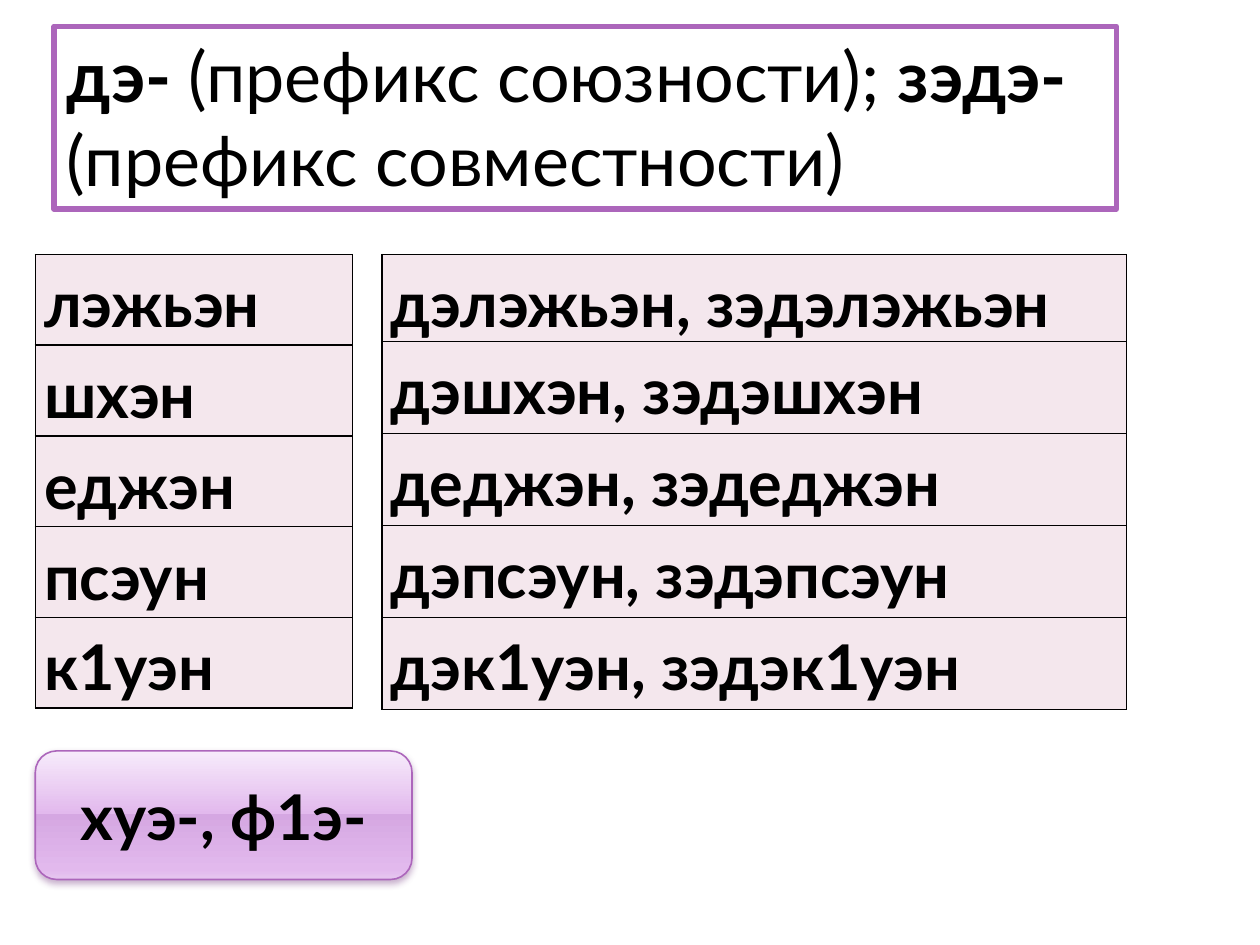
from dataclasses import dataclass

from lxml.etree import SubElement
from pptx import Presentation
from pptx.dml.color import RGBColor
from pptx.enum.shapes import MSO_SHAPE
from pptx.enum.text import MSO_ANCHOR, MSO_AUTO_SIZE, PP_ALIGN
from pptx.oxml import parse_xml
from pptx.oxml.ns import nsdecls, qn
from pptx.util import Emu, Pt

EMU_PER_PX = 9144  # 100 px to the inch


@dataclass(frozen=True)
class Theme:
    font: str = "Lato"
    text: str = "000000"
    paper: str = "FFFFFF"
    cell: str = "F4E7ED"
    accent: str = "AC66BB"
    shadow: str = "6E307B"
    gradient: tuple = ((0, "F7EBFB"), (49, "E2B9ED"), (49, "D5A7E2"),
                       (92, "E2B9ED"), (100, "E6C6EF"))
    title_size: int = 40
    body_size: int = 36


@dataclass(frozen=True)
class WordTable:
    left: int
    top: int
    width: int
    row_heights: tuple
    words: tuple


THEME = Theme()

TABLES = (
    WordTable(28, 202, 252, (72,) * 5,
              ("лэжьэн", "шхэн", "еджэн", "псэун", "к1уэн")),
    WordTable(303, 202, 591, (69,) + (73,) * 4,
              ("дэлэжьэн, зэдэлэжьэн", "дэшхэн, зэдэшхэн", "деджэн, зэдеджэн",
               "дэпсэун, зэдэпсэун", "дэк1уэн, зэдэк1уэн")),
)

TITLE_RUNS = (("дэ- ", True), ("(префикс союзности); ", False),
              ("зэдэ-", True), (" (префикс совместности)", False))


def px(value: int) -> Emu:
    return Emu(value * EMU_PER_PX)


def rgb(color: str) -> RGBColor:
    return RGBColor.from_string(color)


def add_text(p, text: str, *, size: int = THEME.body_size, bold: bool = True,
             align=PP_ALIGN.LEFT, spacing: float = 1.0) -> None:
    """Append one formatted run to a paragraph."""
    p.alignment = align
    p.line_spacing = spacing
    r = p.add_run()
    r.text = text
    r.font.name = THEME.font
    r.font.size = Pt(size)
    r.font.bold = bold
    r.font.color.rgb = rgb(THEME.text)


def set_line(sp, width: float) -> None:
    sp.line.color.rgb = rgb(THEME.accent)
    sp.line.width = Pt(width)


def set_borders(cell) -> None:
    tc_pr = cell._tc.get_or_add_tcPr()
    for side in ("lnL", "lnR", "lnT", "lnB"):
        ln = SubElement(tc_pr, qn(f"a:{side}"), w=str(Pt(1)))
        fill = SubElement(ln, qn("a:solidFill"))
        SubElement(fill, qn("a:srgbClr"), val=THEME.text)


def add_title(s) -> None:
    sp = s.shapes.title
    sp.left, sp.top, sp.width, sp.height = map(px, (43, 21, 843, 145))
    sp.fill.solid()
    sp.fill.fore_color.rgb = rgb(THEME.paper)
    set_line(sp, 3.15)
    tf = sp.text_frame
    tf.word_wrap = True
    tf.auto_size = MSO_AUTO_SIZE.NONE
    tf.vertical_anchor = MSO_ANCHOR.TOP
    for text, bold in TITLE_RUNS:
        add_text(tf.paragraphs[0], text, size=THEME.title_size, bold=bold)


def add_word_table(s, spec: WordTable) -> None:
    frame = s.shapes.add_table(len(spec.words), 1, px(spec.left), px(spec.top),
                               px(spec.width), px(sum(spec.row_heights)))
    table = frame.table
    table.first_row = table.horz_banding = False
    for row, height, word in zip(table.rows, spec.row_heights, spec.words):
        row.height = px(height)
        cell = row.cells[0]
        cell.margin_left = cell.margin_right = px(7)
        cell.margin_top = cell.margin_bottom = 0
        set_borders(cell)
        cell.fill.solid()
        cell.fill.fore_color.rgb = rgb(THEME.cell)
        add_text(cell.text_frame.paragraphs[0], word,
                 align=PP_ALIGN.JUSTIFY, spacing=1.15)


def set_glossy_fill(sp) -> None:
    """Give a shape the theme's gradient, running from top to bottom."""
    sp.fill.gradient()
    sp.fill.gradient_angle = 270
    stops = sp._element.spPr.find(qn("a:gradFill")).find(qn("a:gsLst"))
    for stop in list(stops):
        stops.remove(stop)
    for percent, color in THEME.gradient:
        stop = SubElement(stops, qn("a:gs"), pos=str(percent * 1000))
        SubElement(stop, qn("a:srgbClr"), val=color)


def set_soft_shadow(sp) -> None:
    sp._element.spPr.append(parse_xml(
        f'<a:effectLst {nsdecls("a")}>'
        f'<a:outerShdw blurRad="{Pt(4)}" dist="{Pt(2)}" dir="5400000" rotWithShape="0">'
        f'<a:srgbClr val="{THEME.shadow}"><a:alpha val="38000"/></a:srgbClr>'
        '</a:outerShdw></a:effectLst>'))


def add_prefix_button(s) -> None:
    sp = s.shapes.add_shape(MSO_SHAPE.ROUNDED_RECTANGLE,
                            *map(px, (28, 596, 299, 102)))
    set_glossy_fill(sp)
    set_line(sp, 0.9)
    set_soft_shadow(sp)
    tf = sp.text_frame
    tf.vertical_anchor = MSO_ANCHOR.MIDDLE
    add_text(tf.paragraphs[0], "хуэ-, ф1э-", align=PP_ALIGN.CENTER)


def main() -> None:
    prs = Presentation()
    prs.slide_width, prs.slide_height = px(1000), px(750)
    s = prs.slides.add_slide(prs.slide_layouts[5])
    add_title(s)
    for spec in TABLES:
        add_word_table(s, spec)
    add_prefix_button(s)
    prs.save("out.pptx")


if __name__ == "__main__":
    main()
